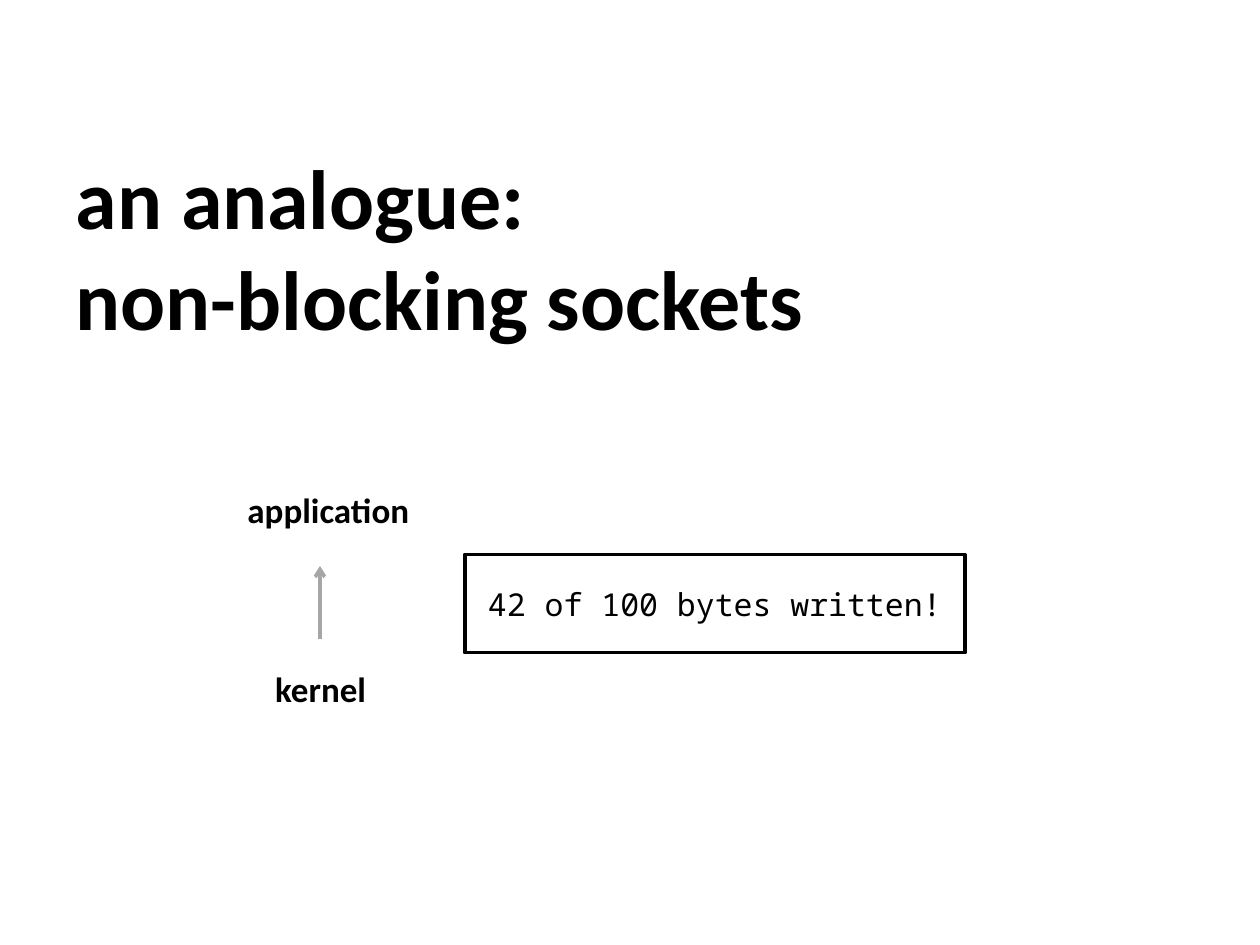
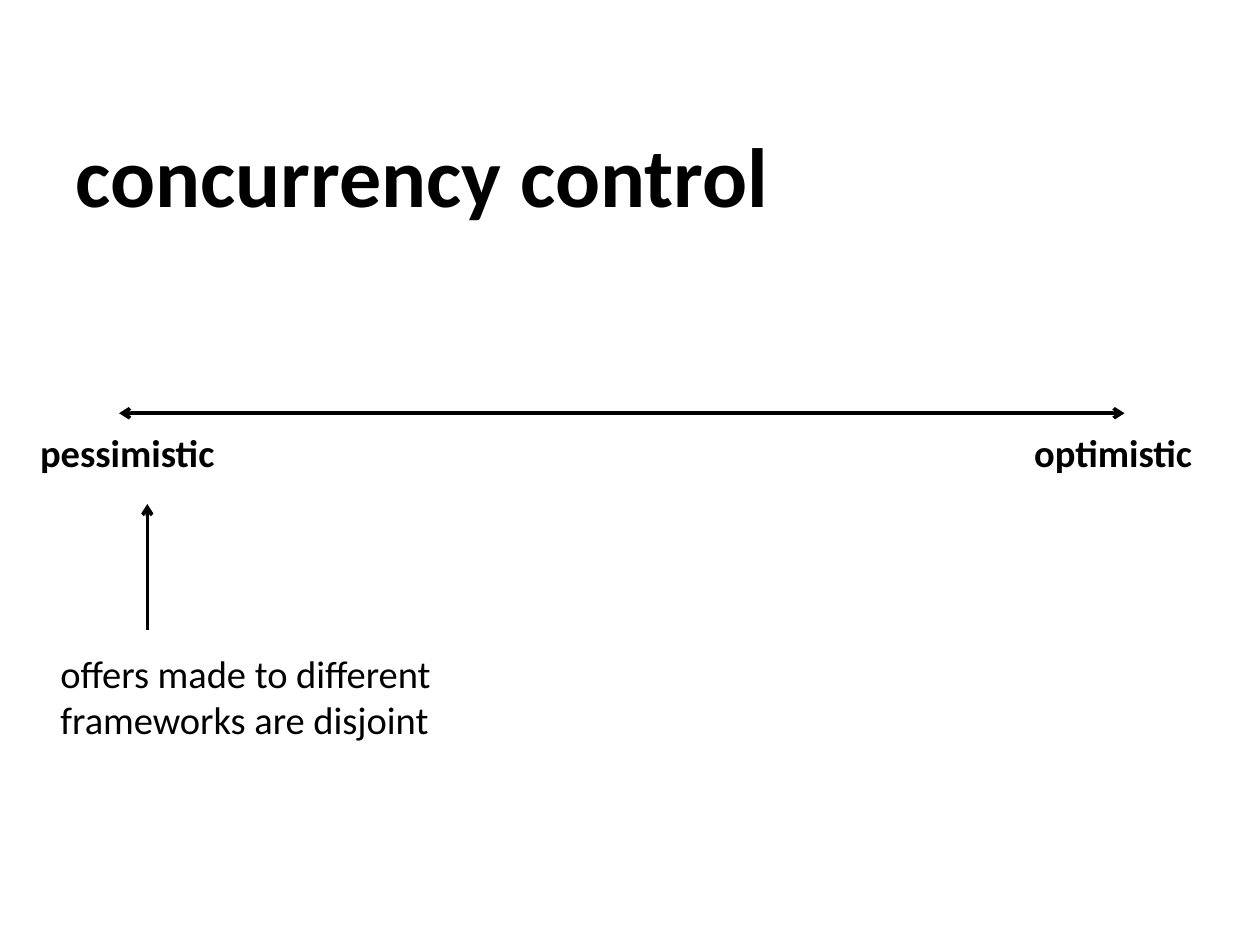
from lxml import etree
from pptx import Presentation
from pptx.dml.color import RGBColor
from pptx.enum.shapes import MSO_CONNECTOR, MSO_SHAPE
from pptx.enum.text import MSO_ANCHOR, MSO_AUTO_SIZE, PP_ALIGN
from pptx.oxml.ns import qn
from pptx.util import Cm, Pt

BLACK = RGBColor(0x00, 0x00, 0x00)
GREY = RGBColor(0xA6, 0xA6, 0xA6)
FONT = "Calibri"
MONO_FONT = "Noto Sans Mono"
LEFT, CENTER = PP_ALIGN.LEFT, PP_ALIGN.CENTER
TOP, MIDDLE = MSO_ANCHOR.TOP, MSO_ANCHOR.MIDDLE
FIT_SHAPE = MSO_AUTO_SIZE.SHAPE_TO_FIT_TEXT
STRAIGHT = MSO_CONNECTOR.STRAIGHT
RECTANGLE = MSO_SHAPE.RECTANGLE
LINE_WIDTH = Pt(2)
TITLE_ONLY = 5


def write(shape, text, size=22, bold=False, font=FONT, align=LEFT, anchor=TOP, wrap=True):
    frame = shape.text_frame
    frame.word_wrap = wrap
    frame.vertical_anchor = anchor
    paragraph = frame.paragraphs[0]
    paragraph.text = text
    paragraph.alignment = align
    for run in paragraph.runs:
        run.font.name = font
        run.font.size = Pt(size)
        run.font.bold = bold
        run.font.color.rgb = BLACK


def add_text(slide, box, text, **text_format):
    shape = slide.shapes.add_textbox(*map(Cm, box))
    write(shape, text, **text_format)
    shape.text_frame.auto_size = FIT_SHAPE


def add_arrow(slide, start, end, color=BLACK, ends=("tailEnd",)):
    connector = slide.shapes.add_connector(STRAIGHT, *map(Cm, start + end))
    connector.line.color.rgb = color
    connector.line.width = LINE_WIDTH
    line = connector.line._get_or_add_ln()
    for end_name in ends:
        etree.SubElement(line, qn(f"a:{end_name}"), type="arrow")
    etree.SubElement(connector._element.spPr, qn("a:effectLst"))


def add_titled_slide(presentation, title, top):
    slide = presentation.slides.add_slide(presentation.slide_layouts[TITLE_ONLY])
    shape = slide.shapes.title
    shape.left, shape.top, shape.width, shape.height = map(Cm, (1.27, top, 22.86, 3.18))
    write(shape, title, size=48, bold=True, anchor=MIDDLE)
    return slide


def add_kernel_reply(slide, left, top):
    label_format = {"size": 20, "bold": True, "align": CENTER, "wrap": False}
    add_text(slide, (left + 0.61, top + 3.61, 2.41, 1.12), "kernel", **label_format)
    arrow_x = left + 1.8
    add_arrow(slide, (arrow_x, top + 3.15), (arrow_x, top + 1.68), color=GREY)
    add_text(slide, (left, top, 3.94, 1.12), "application", **label_format)

    message = slide.shapes.add_shape(
        RECTANGLE, Cm(left + 4.72), Cm(top + 1.45), Cm(10.08), Cm(1.98))
    message.shadow.inherit = False
    message.fill.background()
    message.line.color.rgb = BLACK
    message.line.width = LINE_WIDTH
    write(message, "42 of 100 bytes written!", size=18, font=MONO_FONT,
          align=CENTER, anchor=MIDDLE)


def add_spectrum(slide, left, top, width):
    inset = 1.84
    add_arrow(slide, (left + inset, top), (left + width - inset, top),
              ends=("headEnd", "tailEnd"))
    label_top = top + 0.2
    add_text(slide, (left + width - 3.91, label_top, 3.91, 1.19), "optimistic",
             bold=True, wrap=False)
    add_text(slide, (left, label_top, 4.24, 1.19), "pessimistic", bold=True, wrap=False)

    pointer_x = left + 2.41
    add_arrow(slide, (pointer_x, top + 4.37), (pointer_x, top + 1.83))
    add_text(slide, (left + 0.41, top + 4.65, 10.03, 2.13),
             "offers made to different frameworks are disjoint")


def main():
    presentation = Presentation()
    presentation.slide_width = Cm(25.4)
    presentation.slide_height = Cm(19.05)

    sockets_slide = add_titled_slide(
        presentation, "an analogue:\nnon-blocking sockets", 3.38)
    add_kernel_reply(sockets_slide, 4.65, 9.73)

    concurrency_slide = add_titled_slide(presentation, "concurrency control", 1.91)
    add_spectrum(concurrency_slide, 0.56, 8.33, 23.95)

    presentation.save("out.pptx")


if __name__ == "__main__":
    main()
